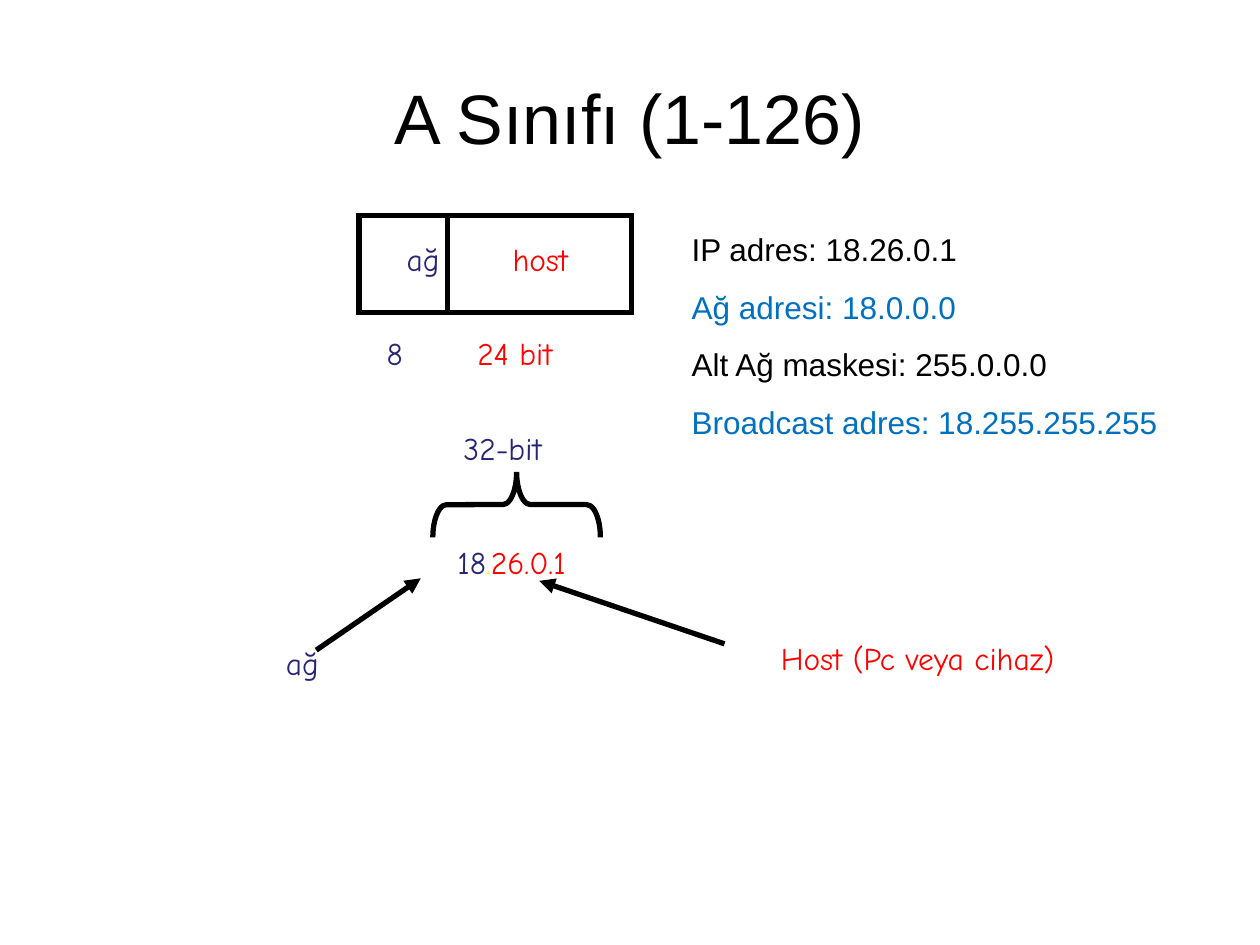
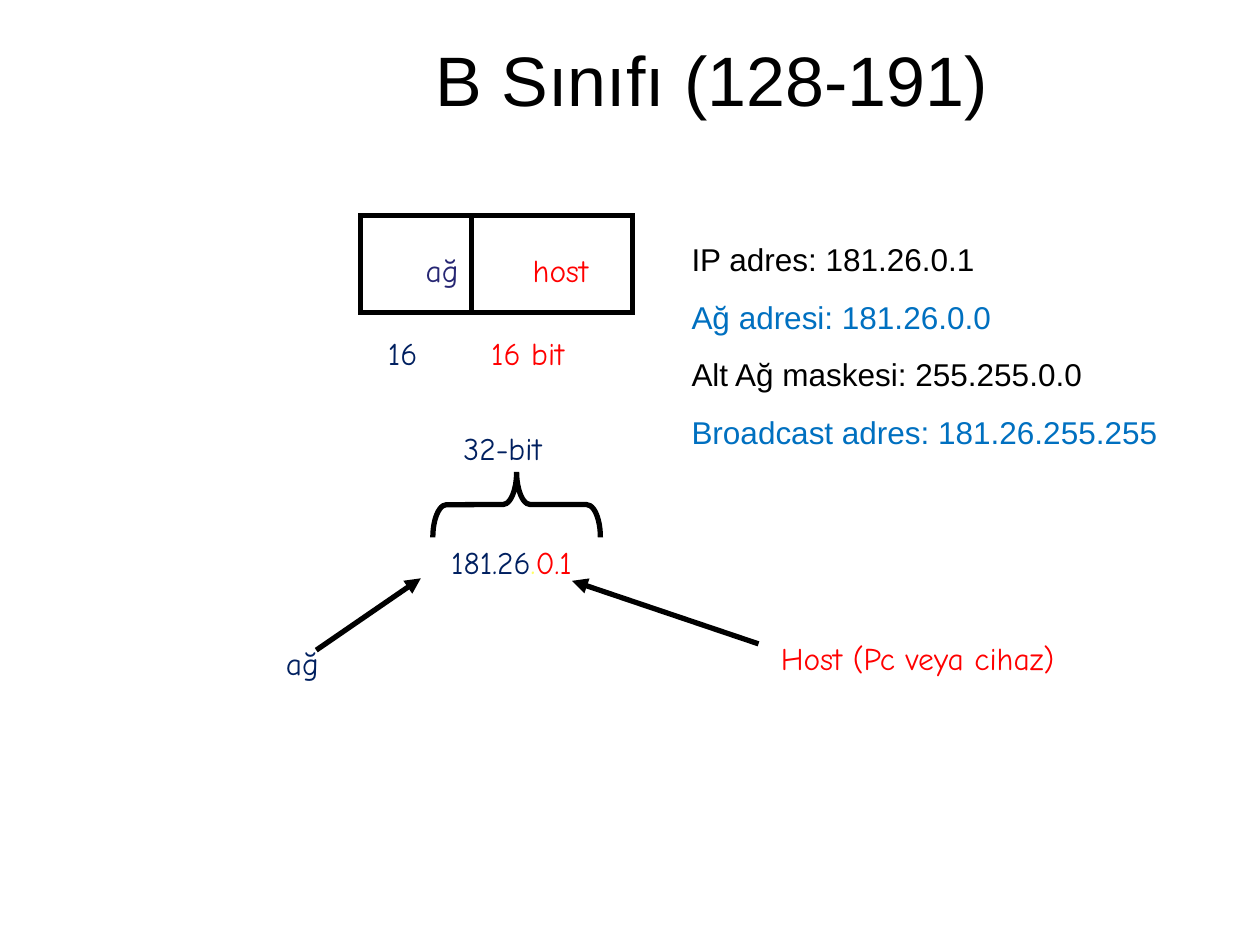
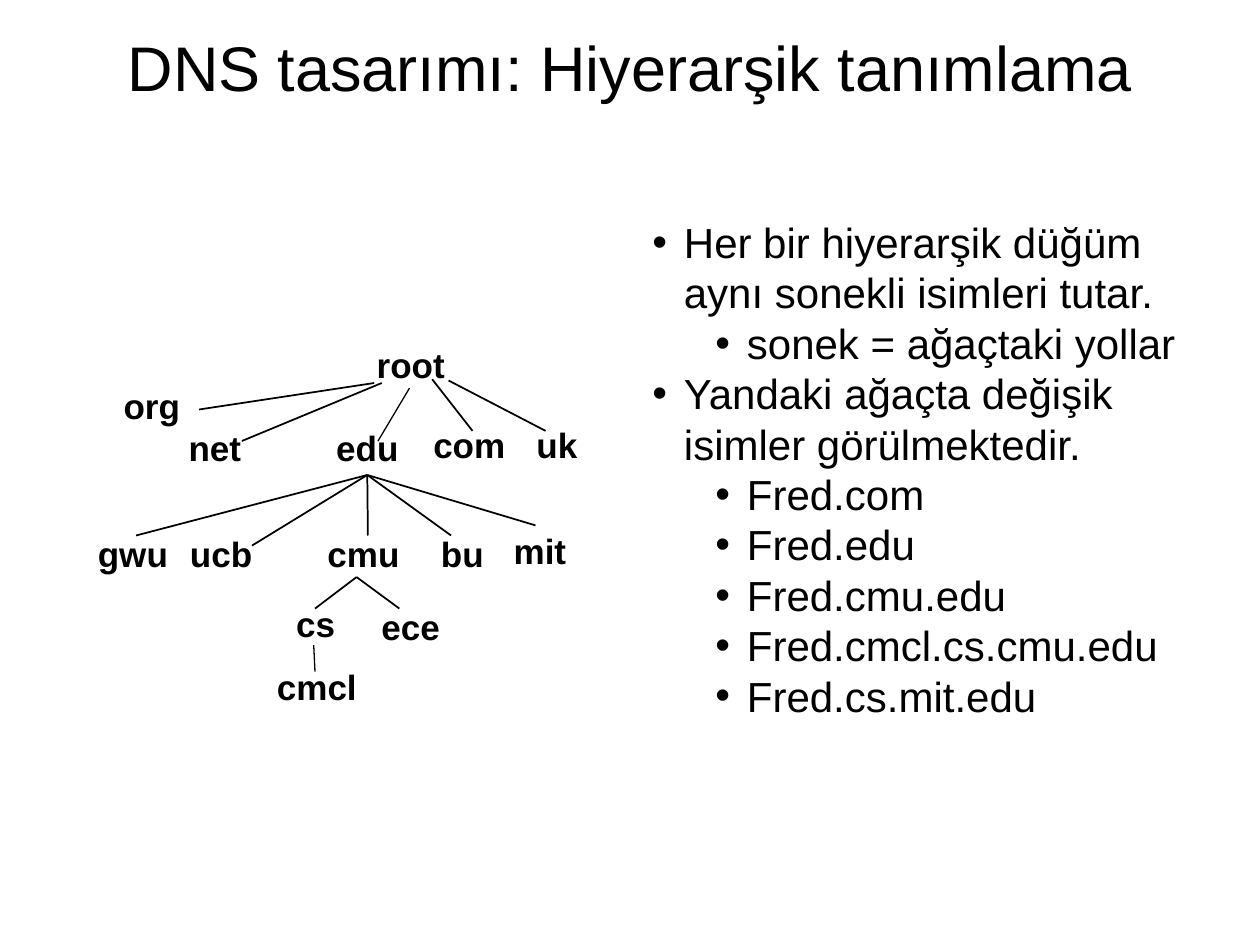
from lxml import etree
from pptx import Presentation
from pptx.dml.color import RGBColor
from pptx.enum.shapes import MSO_CONNECTOR, MSO_SHAPE
from pptx.enum.text import MSO_ANCHOR, PP_ALIGN
from pptx.oxml.ns import qn
from pptx.util import Inches, Pt

BLACK = RGBColor(0x00, 0x00, 0x00)
RED = RGBColor(0xFF, 0x00, 0x00)
BLUE = RGBColor(0x00, 0x70, 0xC0)
INDIGO = RGBColor(0x26, 0x26, 0x73)
NAVY = RGBColor(0x00, 0x20, 0x60)
YELLOW = RGBColor(0xFF, 0xFF, 0x00)
PALE = RGBColor(0xFF, 0xFF, 0x66)
SANS, COMIC = "Arial", "Comic Neue"
LEFT, CENTER = PP_ALIGN.LEFT, PP_ALIGN.CENTER
TOP, MIDDLE = MSO_ANCHOR.TOP, MSO_ANCHOR.MIDDLE
STRAIGHT = MSO_CONNECTOR.STRAIGHT
RECT, BRACE = MSO_SHAPE.RECTANGLE, MSO_SHAPE.LEFT_BRACE
BOTTOM_SIDE = 2

# Address classes: labels are (text, left, top, width)
CLASSES = [
    {
        "title": "A Sınıfı (1-126)", "head": (0.5, 0.3, 9, 1.25),
        "ink": INDIGO, "net ink": INDIGO, "dot ink": YELLOW,
        "box": 2.85, "split": 3.55, "arrow": ((5.75, 5.11), (4.28, 4.61)),
        "net": [("ağ", 3.13, 1.86, 0.6), ("8", 2.97, 2.6, 0.6)],
        "host": [("host", 3.97, 1.86, 0.8), ("24 bit", 3.69, 2.6, 1)],
        "parts": ("18", "26.0.1"),
        "facts at": (5.39, 1.78, 4.02, 1.77),
        "facts": ["IP adres: 18.26.0.1", "Ağ adresi: 18.0.0.0",
                  "Alt Ağ maskesi: 255.0.0.0", "Broadcast adres: 18.255.255.255"],
    },
    {
        "title": "B Sınıfı (128-191)", "head": (1.15, 0, 9, 1.25),
        "ink": NAVY, "net ink": INDIGO, "dot ink": PALE,
        "box": 2.86, "split": 3.74, "arrow": ((6.02, 5.11), (4.54, 4.61)),
        "net": [("ağ", 3.28, 1.94, 0.6), ("16", 2.98, 2.6, 0.6)],
        "host": [("host", 4.13, 1.94, 0.8), ("16 bit", 3.8, 2.6, 1)],
        "parts": ("181.26", "0.1"),
        "facts at": (5.39, 1.86, 4.06, 1.77),
        "facts": ["IP adres: 181.26.0.1", "Ağ adresi: 181.26.0.0",
                  "Alt Ağ maskesi: 255.255.0.0", "Broadcast adres: 181.26.255.255"],
    },
]

# Name tree: node -> (left, top, width)
NODES = {
    "root": (2.89, 2.67, 0.74),
    "org": (0.88, 3, 0.65), "net": (1.4, 3.33, 0.61), "edu": (2.57, 3.33, 0.69),
    "com": (3.34, 3.31, 0.77), "uk": (4.16, 3.31, 0.52),
    "gwu": (0.68, 4.17, 0.75), "ucb": (1.41, 4.17, 0.69), "cmu": (2.5, 4.17, 0.77),
    "bu": (3.4, 4.17, 0.54), "mit": (3.98, 4.15, 0.61),
    "cs": (2.25, 4.73, 0.51), "ece": (2.93, 4.75, 0.66),
    "cmcl": (2.1, 5.23, 0.83),
}
BRANCHES = [
    ((2.97, 3.04), (1.58, 3.25), 1), ((3.03, 3.04), (1.92, 3.5), 1),
    ((3.43, 3.01), (3.75, 3.42), 1), ((3.56, 3.02), (4.33, 3.42), 1),
    ((3.25, 3.08), (3, 3.5), 0.75),
    ((2.83, 4.58), (2.5, 4.83), 1), ((2.83, 4.58), (3.17, 4.83), 1),
    ((2.49, 5.12), (2.5, 5.33), 0.75),
]
EDU_ENDS = [(1.08, 4.25), (2, 4.33), (2.92, 4.25), (3.58, 4.25), (4.25, 4.17)]
POINTS = [
    (0, "Her bir hiyerarşik düğüm aynı sonekli isimleri tutar."),
    (1, "sonek = ağaçtaki yollar"),
    (0, "Yandaki ağaçta değişik isimler görülmektedir."),
    (1, "Fred.com"), (1, "Fred.edu"), (1, "Fred.cmu.edu"),
    (1, "Fred.cmcl.cs.cmu.edu"), (1, "Fred.cs.mit.edu"),
]


def add_text(slide, at, paras, size=18, font=SANS, bold=False, align=LEFT,
             anchor=TOP, side=0.1, gap=0, levels=None):
    """Each paragraph is a list of (text, colour) runs."""
    box = slide.shapes.add_textbox(*map(Inches, at))
    frame = box.text_frame
    frame.word_wrap, frame.vertical_anchor = True, anchor
    frame.margin_left = frame.margin_right = Inches(side)
    for i, runs in enumerate(paras):
        para = frame.paragraphs[0] if i == 0 else frame.add_paragraph()
        if levels:
            set_bullet(para, levels[i])
        para.alignment = align
        if i and gap:
            para.space_before = Pt(gap)
        for words, ink in runs:
            run = para.add_run()
            run.text = words
            run.font.name, run.font.size, run.font.bold = font, Pt(size), bold
            run.font.color.rgb = ink
    return box


def set_bullet(para, level):
    para.level = level
    props = para._p.get_or_add_pPr()
    props.set("marL", str(Inches(0.25 + 0.5 * level)))
    props.set("indent", str(-Inches(0.25)))
    etree.SubElement(props, qn("a:buFont")).set("typeface", SANS)
    etree.SubElement(props, qn("a:buChar")).set("char", "•")


def add_title(slide, words, at, size=40):
    add_text(slide, at, [[(words, BLACK)]], size=size, align=CENTER, anchor=MIDDLE)


def add_line(slide, start, end, width=3, arrow=False):
    line = slide.shapes.add_connector(STRAIGHT, *map(Inches, start + end))
    line.line.color.rgb, line.line.width = BLACK, Pt(width)
    if arrow:
        etree.SubElement(line.line._get_or_add_ln(), qn("a:tailEnd")).set("type", "triangle")
    etree.SubElement(line._element.spPr, qn("a:effectLst"))
    return line


def add_outline(slide, kind, at):
    shape = slide.shapes.add_shape(kind, *map(Inches, at))
    shape.shadow.inherit = False
    shape.fill.background()
    shape.line.color.rgb, shape.line.width = BLACK, Pt(3)
    # Sharp corners
    etree.SubElement(shape.line._get_or_add_ln(), qn("a:miter")).set("lim", "800000")
    return shape


def add_label(slide, words, left, top, width, ink):
    add_text(slide, (left, top, width, 0.4), [[(words, ink)]], font=COMIC)


def draw_class(slide, data):
    ink = data["ink"]
    add_title(slide, data["title"], data["head"])

    # Split of the address bits
    add_outline(slide, RECT, (data["box"], 1.71, 2.16, 0.77))
    add_line(slide, (data["split"], 1.7), (data["split"], 2.47))
    for label, tint in zip(data["net"], (data["net ink"], ink)):
        add_label(slide, *label, tint)
    for label in data["host"]:
        add_label(slide, *label, RED)

    # Sample address under its brace
    net, host = data["parts"]
    add_text(slide, (3.12, 4.26, 1.88, 0.4),
             [[(net, ink), (".", data["dot ink"]), (host, RED)]],
             font=COMIC, align=CENTER, anchor=MIDDLE)
    brace = add_outline(slide, BRACE, (3.84, 3.34, 0.52, 1.33))
    brace.rotation = 90
    brace.adjustments[0] = 0.21
    add_label(slide, "32-bit", 3.58, 3.36, 0.9, ink)
    add_label(slide, "ağ", 2.17, 5.06, 0.6, ink)
    add_label(slide, "Host (Pc veya cihaz)", 6.1, 5.02, 2.5, RED)
    add_line(slide, (2.51, 5.16), (3.34, 4.59), arrow=True)
    add_line(slide, *data["arrow"], arrow=True)

    # Facts in alternating colours
    facts = [[(fact, (BLACK, BLUE)[i % 2])] for i, fact in enumerate(data["facts"])]
    add_text(slide, data["facts at"], facts, gap=11.2)


def draw_tree(slide):
    add_title(slide, "DNS tasarımı: Hiyerarşik tanımlama", (0.5, 0.3, 9, 0.46), size=36)
    boxes = {name: add_text(slide, at + (0.44,), [[(name, BLACK)]], size=20, bold=True,
                            align=CENTER, anchor=MIDDLE, side=0)
             for name, at in NODES.items()}
    for start, end, width in BRANCHES:
        add_line(slide, start, end, width)
    for end in EDU_ENDS:
        line = add_line(slide, (2.92, 3.77), end, 1)
        line.begin_connect(boxes["edu"], BOTTOM_SIDE)

    # Bulleted explanation
    add_text(slide, (5.08, 1.67, 4.67, 4.1), [[(words, BLACK)] for _, words in POINTS],
             size=24, levels=[level for level, _ in POINTS])


def main():
    deck = Presentation()
    deck.slide_width, deck.slide_height = Inches(10), Inches(7.5)
    blank = deck.slide_layouts[6]
    for data in CLASSES:
        draw_class(deck.slides.add_slide(blank), data)
    draw_tree(deck.slides.add_slide(blank))
    deck.save("out.pptx")


if __name__ == "__main__":
    main()
